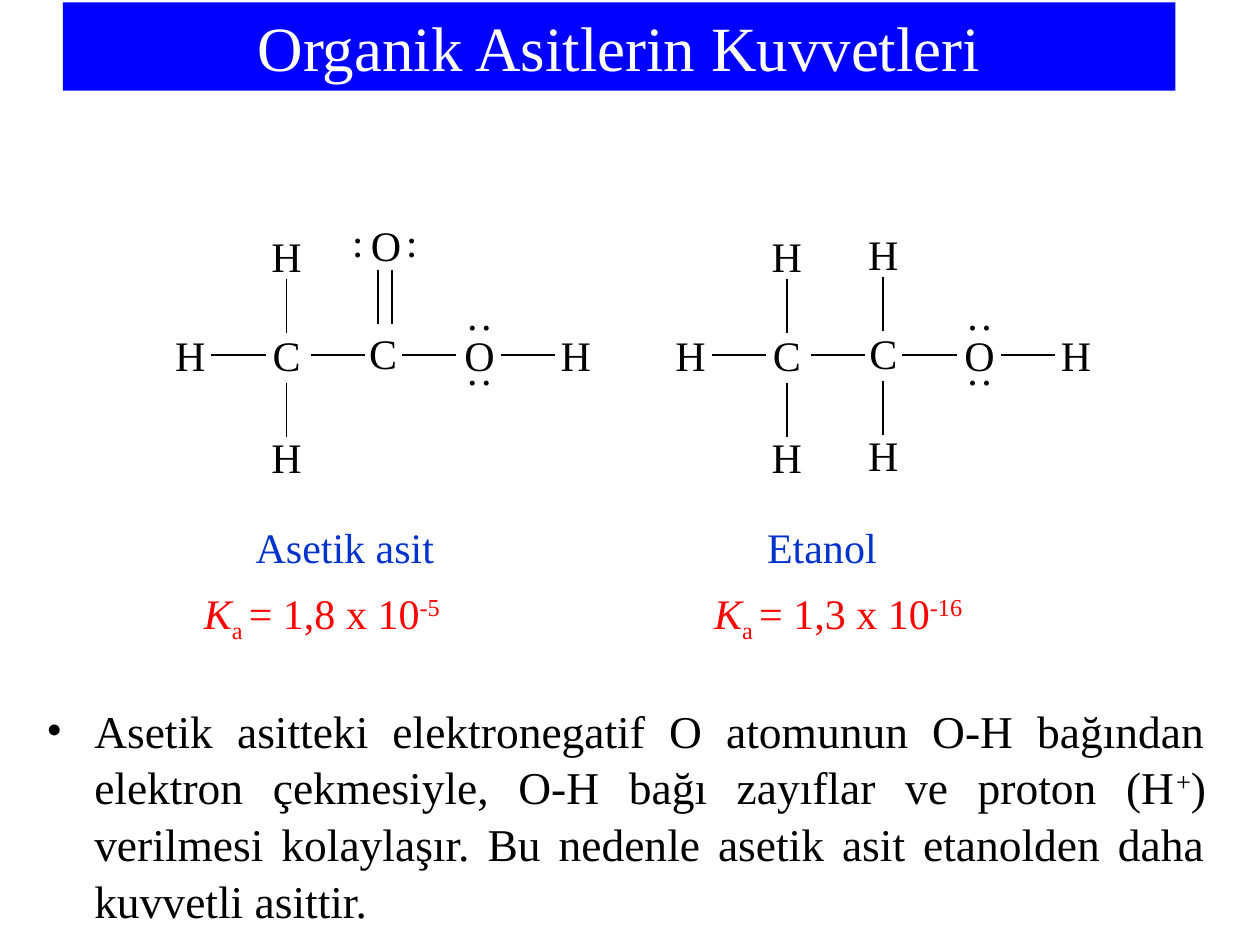
from dataclasses import dataclass

from lxml import etree
from pptx import Presentation
from pptx.dml.color import RGBColor
from pptx.enum.shapes import MSO_CONNECTOR, MSO_SHAPE
from pptx.enum.text import MSO_ANCHOR, PP_ALIGN
from pptx.oxml.ns import qn
from pptx.util import Inches, Pt

STRAIGHT = MSO_CONNECTOR.STRAIGHT
RECTANGLE = MSO_SHAPE.RECTANGLE
MIDDLE, TOP = MSO_ANCHOR.MIDDLE, MSO_ANCHOR.TOP
LEFT, CENTER, JUSTIFY = PP_ALIGN.LEFT, PP_ALIGN.CENTER, PP_ALIGN.JUSTIFY
COLUMNS, ROWS = 100, 75
SUBSCRIPT, SUPERSCRIPT = -25000, 30000


@dataclass(frozen=True)
class Theme:
    font: str = "Times New Roman"
    banner: RGBColor = RGBColor(0, 0, 255)
    light: RGBColor = RGBColor(255, 255, 255)
    ink: RGBColor = RGBColor(0, 0, 0)
    name: RGBColor = RGBColor(0, 0x33, 0xCC)
    constant: RGBColor = RGBColor(255, 1, 1)
    title_size: int = 36
    label_size: int = 24
    body_size: int = 26
    bond_width: int = 1


class SlideBuilder:
    atom_step, atom_rise, bond_length = 7.65, 8, 4.3
    chain_row = 28.2

    def __init__(self, presentation, theme):
        self.theme = theme
        self.slide = presentation.slides.add_slide(presentation.slide_layouts[6])
        self.column = presentation.slide_width / COLUMNS
        self.row = presentation.slide_height / ROWS

    def place(self, left, top, width, height):
        return (round(left * self.column), round(top * self.row),
                round(width * self.column), round(height * self.row))

    def set_text(self, shape, pieces, size, color, alignment=LEFT, anchor=TOP, wrap=True):
        frame = shape.text_frame
        for key, value in {"word_wrap": wrap, "vertical_anchor": anchor}.items():
            setattr(frame, key, value)
        paragraph = frame.paragraphs[0]
        paragraph.alignment = alignment
        for text, italic, baseline in pieces:
            run = paragraph.add_run()
            run.text = text
            style = {"name": self.theme.font, "size": Pt(size), "italic": italic}
            for key, value in style.items():
                setattr(run.font, key, value)
            run.font.color.rgb = color
            if baseline:
                run.font._element.set("baseline", str(baseline))
        return paragraph

    def text(self, area, pieces, size, color, **format_values):
        shape = self.slide.shapes.add_textbox(*self.place(*area))
        return shape, self.set_text(shape, pieces, size, color, **format_values)

    def banner(self, area, title):
        shape = self.slide.shapes.add_shape(RECTANGLE, *self.place(*area))
        shape.shadow.inherit = False
        shape.fill.solid()
        shape.fill.fore_color.rgb = self.theme.banner
        shape.line.fill.background()
        self.set_text(shape, [(title, False, 0)], self.theme.title_size,
                      self.theme.light, alignment=CENTER, anchor=MIDDLE)

    def tabbed(self, area, pieces, color, tab):
        _, paragraph = self.text(area, pieces, self.theme.label_size, color)
        tabs = etree.SubElement(paragraph._p.get_or_add_pPr(), qn("a:tabLst"))
        position = str(round(tab * self.column))
        etree.SubElement(tabs, qn("a:tab"), pos=position, algn="l")

    def bullet(self, area, pieces, indent):
        _, paragraph = self.text(area, pieces, self.theme.body_size,
                                 self.theme.ink, alignment=JUSTIFY)
        paragraph.line_spacing = 1.04
        properties = paragraph._p.get_or_add_pPr()
        offset = round(indent * self.column)
        for key, value in {"marL": offset, "indent": -offset}.items():
            properties.set(key, str(value))
        etree.SubElement(properties, qn("a:buFont"), typeface=self.theme.font)
        etree.SubElement(properties, qn("a:buChar"), char="•")

    def atom(self, origin, symbol, column, row, rotation=0):
        center_x = origin + column * self.atom_step
        center_y = self.chain_row + row * self.atom_rise
        shape, _ = self.text((center_x - 2.2, center_y - 2.5, 4.4, 5), [(symbol, False, 0)],
                             self.theme.label_size, self.theme.ink,
                             alignment=CENTER, wrap=False)
        shape.rotation = rotation

    def bond(self, origin, column, row, upright=False):
        center_x = origin + column * self.atom_step
        center_y = self.chain_row + row * self.atom_rise
        half_x, half_y = (0, self.bond_length / 2) if upright else (self.bond_length / 2, 0)
        ends = self.place(center_x - half_x, center_y - half_y,
                          center_x + half_x, center_y + half_y)
        connector = self.slide.shapes.add_connector(STRAIGHT, *ends)
        connector.line.color.rgb = self.theme.ink
        connector.line.width = Pt(self.theme.bond_width)
        etree.SubElement(connector._element.spPr, qn("a:effectLst"))

    def methyl_arms(self, origin, column, lift=0):
        for row in (-0.99, 1.01):
            self.atom(origin, "H", column, row - lift)
        for row in (-0.49, 0.54):
            self.bond(origin, column, row - lift, upright=True)

    def chain(self, origin):
        for column in (0.5, 1.53, 2.48, 3.5):
            self.bond(origin, column, 0)
        for column, symbol in enumerate("HCCOH"):
            self.atom(origin, symbol, column, -0.02 if column == 2 else 0)
        for row in (-0.29, 0.25):
            self.atom(origin, "··", 3, row)
        self.methyl_arms(origin, 1)

    def carbonyl(self, origin):
        self.atom(origin, "O", 2.03, -1.1)
        for column in (1.95, 2.09):
            self.bond(origin, column, -0.58, upright=True)
        for column in (1.71, 2.27):
            self.atom(origin, "··", column, -1.06, rotation=270)


def acidity(mantissa, power):
    return [("K", True, 0), ("a ", False, SUBSCRIPT),
            (f"= {mantissa} x 10", False, 0), (power, False, SUPERSCRIPT)]


def main():
    presentation = Presentation()
    presentation.slide_width, presentation.slide_height = Inches(10), Inches(7.5)
    theme = Theme()
    builder = SlideBuilder(presentation, theme)
    builder.banner((5, 0.2, 88.3, 7), "Organik Asitlerin Kuvvetleri")

    acetic_acid, ethanol = 15.1, 54.8
    for origin in (acetic_acid, ethanol):
        builder.chain(origin)
    builder.carbonyl(acetic_acid)
    builder.methyl_arms(ethanol, 2, lift=0.02)

    builder.tabbed((15.2, 46.1, 66.4, 5.6),
                   acidity("1,8", "-5\t") + acidity("1,3", "-16"), theme.constant, 40.5)
    builder.tabbed((19.3, 40.9, 60.2, 5), [("Asetik asit\tEtanol", False, 0)],
                   theme.name, 40.6)
    builder.bullet((2.7, 55.1, 94, 18.4), [
        ("Asetik asitteki elektronegatif O atomunun O-H bağından elektron çekmesiyle, "
         "O-H bağı zayıflar ve proton (H", False, 0),
        ("+", False, SUPERSCRIPT),
        (") verilmesi kolaylaşır. Bu nedenle asetik asit etanolden daha kuvvetli asittir.",
         False, 0),
    ], 3.8)
    presentation.save("out.pptx")


if __name__ == "__main__":
    main()
